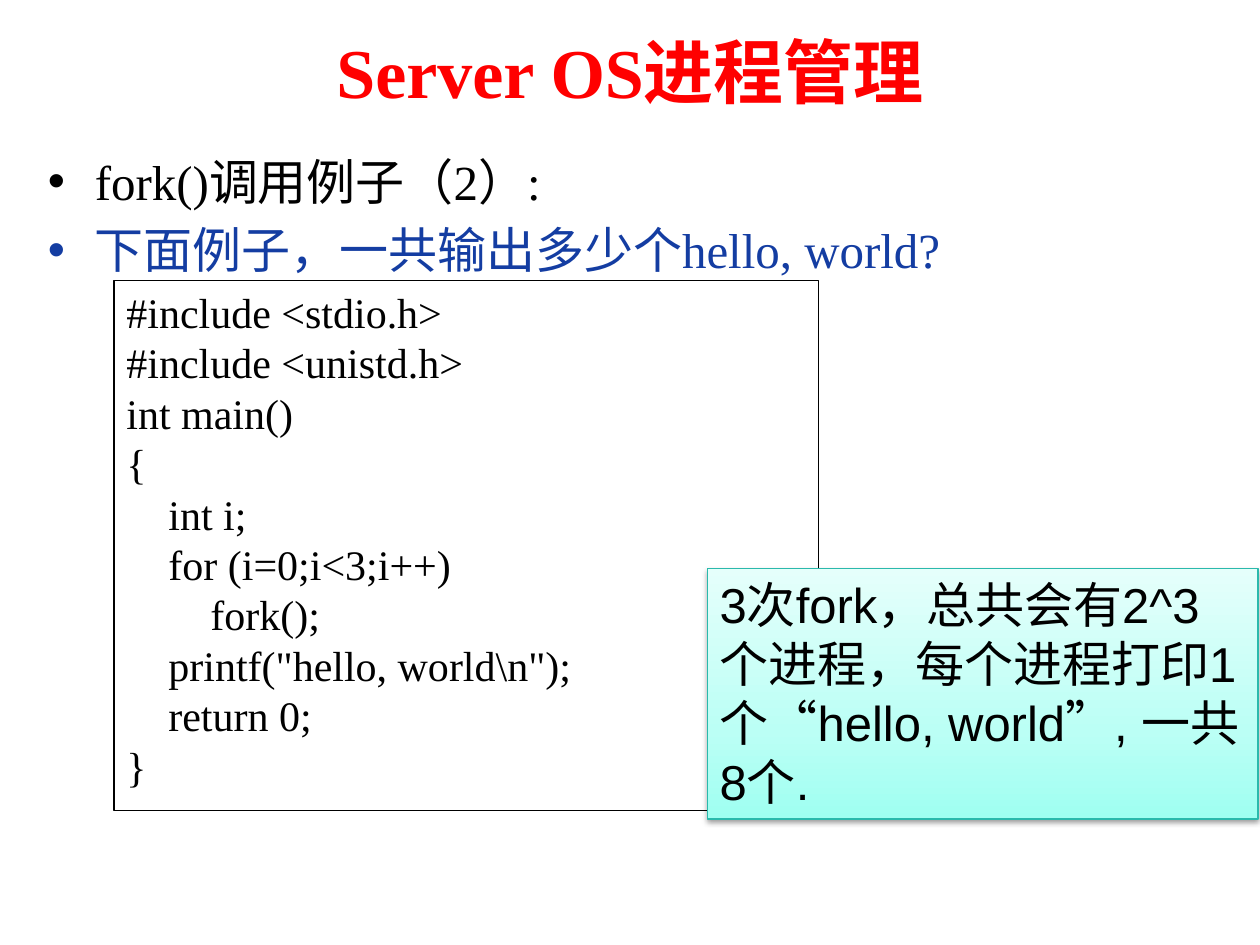
from lxml.etree import SubElement
from pptx import Presentation
from pptx.dml.color import RGBColor
from pptx.enum.shapes import MSO_SHAPE
from pptx.enum.text import MSO_ANCHOR, MSO_AUTO_SIZE, PP_ALIGN
from pptx.oxml import parse_xml
from pptx.oxml.ns import nsdecls, qn
from pptx.util import Cm, Pt

COLORS = {
    "title": "FF0000", "ink": "000000", "question": "143DA2", "paper": "FFFFFF",
    "answer_line": "2AB9AC", "deep": "9FFFF1", "middle": "BBFFF5", "pale": "E5FFFB",
}
SERIF, SANS = "Times New Roman", "Arial"
BULLETS = [("fork()调用例子（2）:", "ink"), ("下面例子，一共输出多少个hello, world?", "question")]
CODE = r"""#include <stdio.h>
#include <unistd.h>
int main()
{
    int i;
    for (i=0;i<3;i++)
        fork();
    printf("hello, world\n");
    return 0;
}"""
ANSWER = "3次fork，总共会有2^3个进程，每个进程打印1个“hello, world”, 一共8个."


def color(name):
    """Return the named colour."""
    return RGBColor.from_string(COLORS[name])


def place(shape, left, top, width, height):
    """Set position and size in centimetres."""
    shape.left, shape.top, shape.width, shape.height = map(Cm, (left, top, width, height))


def style(paragraph, size, font_name, color_name, bold=False):
    """Set the font of a whole paragraph."""
    font = paragraph.font
    font.size, font.name, font.bold = Pt(size), font_name, bold
    font.color.rgb = color(color_name)


def fill_title(title, text):
    """Write the centred slide title."""
    place(title, 0, 0.13, 25.4, 2.59)
    frame = title.text_frame
    frame.text = text
    frame.vertical_anchor = MSO_ANCHOR.MIDDLE
    frame.auto_size = MSO_AUTO_SIZE.NONE
    frame.paragraphs[0].alignment = PP_ALIGN.CENTER
    style(frame.paragraphs[0], 40, SERIF, "title", True)


def fill_bullets(body, items):
    """Write the bulleted list."""
    place(body, 0.71, 2.92, 23.42, 13.54)
    frame = body.text_frame
    frame.text = "\n".join(text for text, _ in items)
    frame.auto_size = MSO_AUTO_SIZE.NONE
    for index, (paragraph, (_, color_name)) in enumerate(zip(frame.paragraphs, items)):
        properties = paragraph._p.get_or_add_pPr()
        properties.set("marL", str(Cm(0.95)))
        properties.set("indent", str(-Cm(0.95)))
        SubElement(properties, qn("a:buFont"), typeface="Arial")
        SubElement(properties, qn("a:buChar"), char="•")
        paragraph.space_before = Pt(5.6 if index else 0)
        style(paragraph, 28, SERIF, color_name)


def add_box(slide, position, text, size, font_name, line_name):
    """Add an outlined rectangle with left-aligned text."""
    box = slide.shapes.add_shape(MSO_SHAPE.RECTANGLE, *map(Cm, position))
    box.shadow.inherit = False
    box.fill.solid()
    box.fill.fore_color.rgb = color("paper")
    box.line.color.rgb = color(line_name)
    box.line.width = Pt(0.75)
    frame = box.text_frame
    frame.word_wrap = True
    frame.auto_size = MSO_AUTO_SIZE.SHAPE_TO_FIT_TEXT
    frame.vertical_anchor = MSO_ANCHOR.TOP
    frame.text = text
    for paragraph in frame.paragraphs:
        paragraph.alignment = PP_ALIGN.LEFT
        style(paragraph, size, font_name, "ink")
    return box


def add_gradient(box, stops):
    """Replace the fill with a gradient rising from the bottom edge."""
    marks = "".join(
        f'<a:gs pos="{percent * 1000}"><a:srgbClr val="{COLORS[name]}"/></a:gs>'
        for percent, name in stops
    )
    gradient = parse_xml(
        f'<a:gradFill {nsdecls("a")} rotWithShape="1"><a:gsLst>{marks}</a:gsLst>'
        '<a:lin ang="16200000" scaled="1"/></a:gradFill>'
    )
    properties = box._element.spPr
    properties.replace(properties.find(qn("a:solidFill")), gradient)


def add_shadow(box):
    """Give the box a soft shadow below."""
    effects = box._element.spPr.find(qn("a:effectLst"))
    shadow = SubElement(
        effects, qn("a:outerShdw"), blurRad=str(Pt(3.1)), dist=str(Pt(1.6)),
        dir="5400000", rotWithShape="0",
    )
    tint = SubElement(shadow, qn("a:srgbClr"), val=COLORS["ink"])
    SubElement(tint, qn("a:alpha"), val="38000")


def main():
    """Build and save the slide."""
    deck = Presentation()
    deck.slide_width, deck.slide_height = Cm(25.4), Cm(19.05)
    slide = deck.slides.add_slide(deck.slide_layouts[1])
    fill_title(slide.shapes.title, "Server OS进程管理")
    fill_bullets(slide.placeholders[1], BULLETS)
    add_box(slide, (2.3, 5.65, 14.2, 10.69), CODE, 24, SERIF, "ink")
    answer = add_box(slide, (14.26, 11.46, 11.1, 5.05), ANSWER, 28, SANS, "answer_line")
    add_gradient(answer, [(0, "deep"), (35, "middle"), (100, "pale")])
    add_shadow(answer)
    deck.save("out.pptx")


if __name__ == "__main__":
    main()
